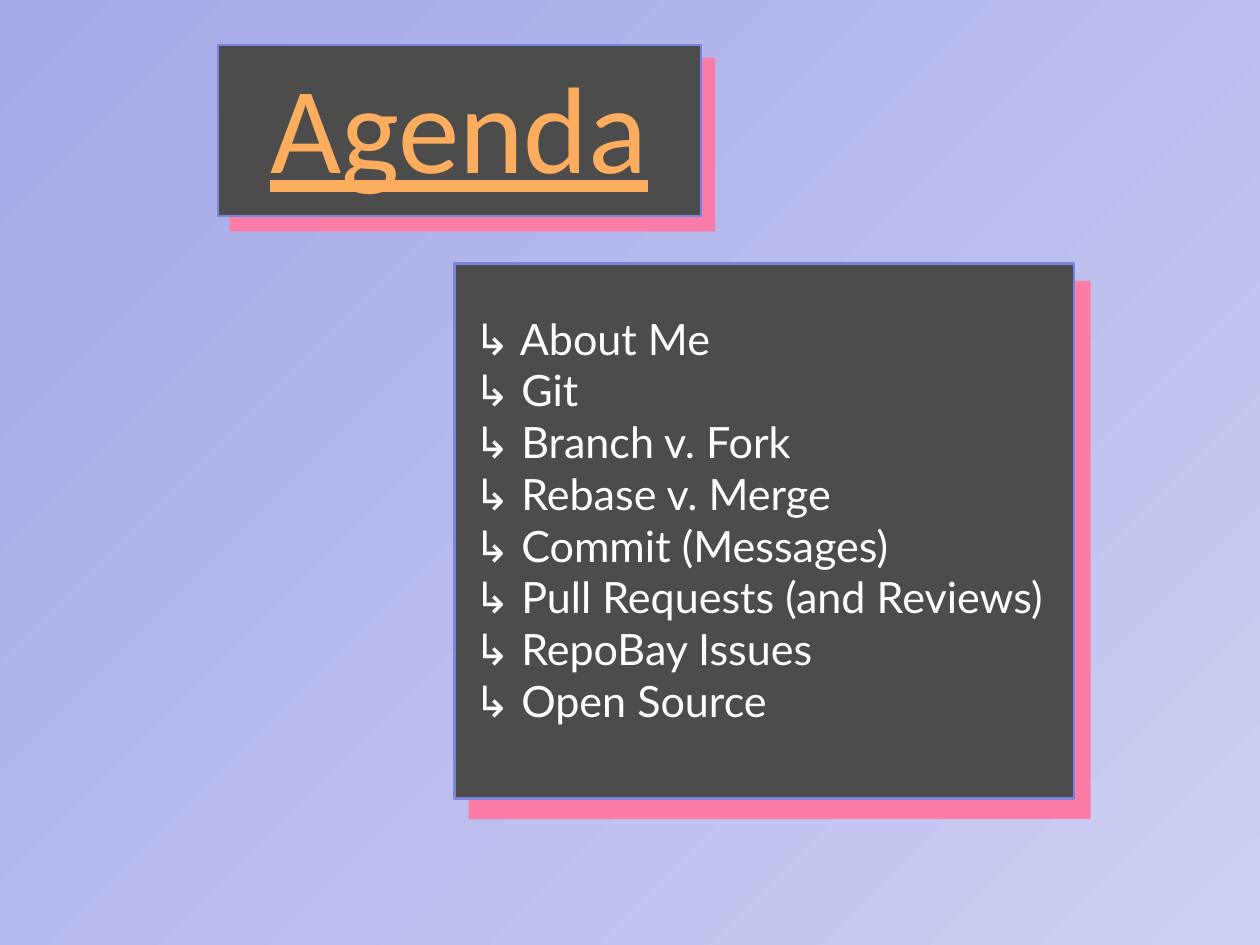
import pptx
import pptx.dml.color
import pptx.enum.shapes
import pptx.enum.text
import pptx.util
from pptx.util import Inches

COLORS = {
    "gradient_light": "CDCFF2",
    "gradient_dark": "A5A9E7",
    "backing": "FB7DA7",
    "panel": "4C4C4C",
    "panel_border": "7A84DD",
    "title": "FDAD5D",
    "topic": "FFFFFF",
}

TOPICS = [
    "About Me",
    "Git",
    "Branch v. Fork",
    "Rebase v. Merge",
    "Commit (Messages)",
    "Pull Requests (and Reviews)",
    "RepoBay Issues",
    "Open Source",
]


def color(name):
    """Return the named colour."""
    return pptx.dml.color.RGBColor.from_string(COLORS[name])


def paint_background(slide):
    """Fill the slide with a diagonal gradient, lightest at bottom right."""
    fill = slide.background.fill
    fill.gradient()
    fill.gradient_angle = 135
    for stop, name in zip(fill.gradient_stops, ("gradient_light", "gradient_dark")):
        stop.color.rgb = color(name)


def add_rectangle(slide, box, fill_name, border_name=None):
    """Add a flat rectangle, with a border if one is named."""
    rectangle = slide.shapes.add_shape(
        pptx.enum.shapes.MSO_SHAPE.RECTANGLE, *map(Inches, box))
    rectangle.shadow.inherit = False
    rectangle.fill.solid()
    rectangle.fill.fore_color.rgb = color(fill_name)
    if border_name:
        rectangle.line.color.rgb = color(border_name)
        rectangle.line.width = pptx.util.Pt(2)
    else:
        rectangle.line.fill.background()


def add_panel(slide, panel_box, backing_box):
    """Add a dark panel in front of its offset pink backing."""
    add_rectangle(slide, backing_box, "backing")
    add_rectangle(slide, panel_box, "panel", "panel_border")


def add_text(slide, box, lines, font_name, size, color_name, align, anchor,
             underline=None):
    """Add a text box with one paragraph per line."""
    frame = slide.shapes.add_textbox(*map(Inches, box)).text_frame
    frame.word_wrap = True
    frame.vertical_anchor = anchor
    frame.margin_left = frame.margin_right = Inches(0.06)
    frame.margin_top = frame.margin_bottom = Inches(0.06)
    for index, line in enumerate(lines):
        paragraph = frame.add_paragraph() if index else frame.paragraphs[0]
        paragraph.alignment = align
        run = paragraph.add_run()
        run.text = line
        run.font.name = font_name
        run.font.size = pptx.util.Pt(size)
        run.font.color.rgb = color(color_name)
        run.font.underline = underline


def main():
    """Build the agenda slide and save it."""
    deck = pptx.Presentation()
    deck.slide_width = Inches(14.22)
    deck.slide_height = Inches(10.66)
    slide = deck.slides.add_slide(deck.slide_layouts[6])
    align = pptx.enum.text.PP_ALIGN
    anchor = pptx.enum.text.MSO_ANCHOR

    paint_background(slide)
    add_panel(slide, (2.46, 0.51, 5.45, 1.93), (2.59, 0.65, 5.48, 1.96))
    add_panel(slide, (5.13, 2.97, 6.99, 6.04), (5.29, 3.17, 7.02, 6.07))
    add_text(slide, (2.3, 0.54, 5.76, 1.76), ["Agenda"], "Calibri", 100,
             "title", align.CENTER, anchor.BOTTOM, underline=True)
    add_text(slide, (5.29, 3.46, 7.02, 5.48), [f"↳ {topic}" for topic in TOPICS],
             "Lato", 35, "topic", align.LEFT, anchor.TOP)

    deck.save("out.pptx")


main()
